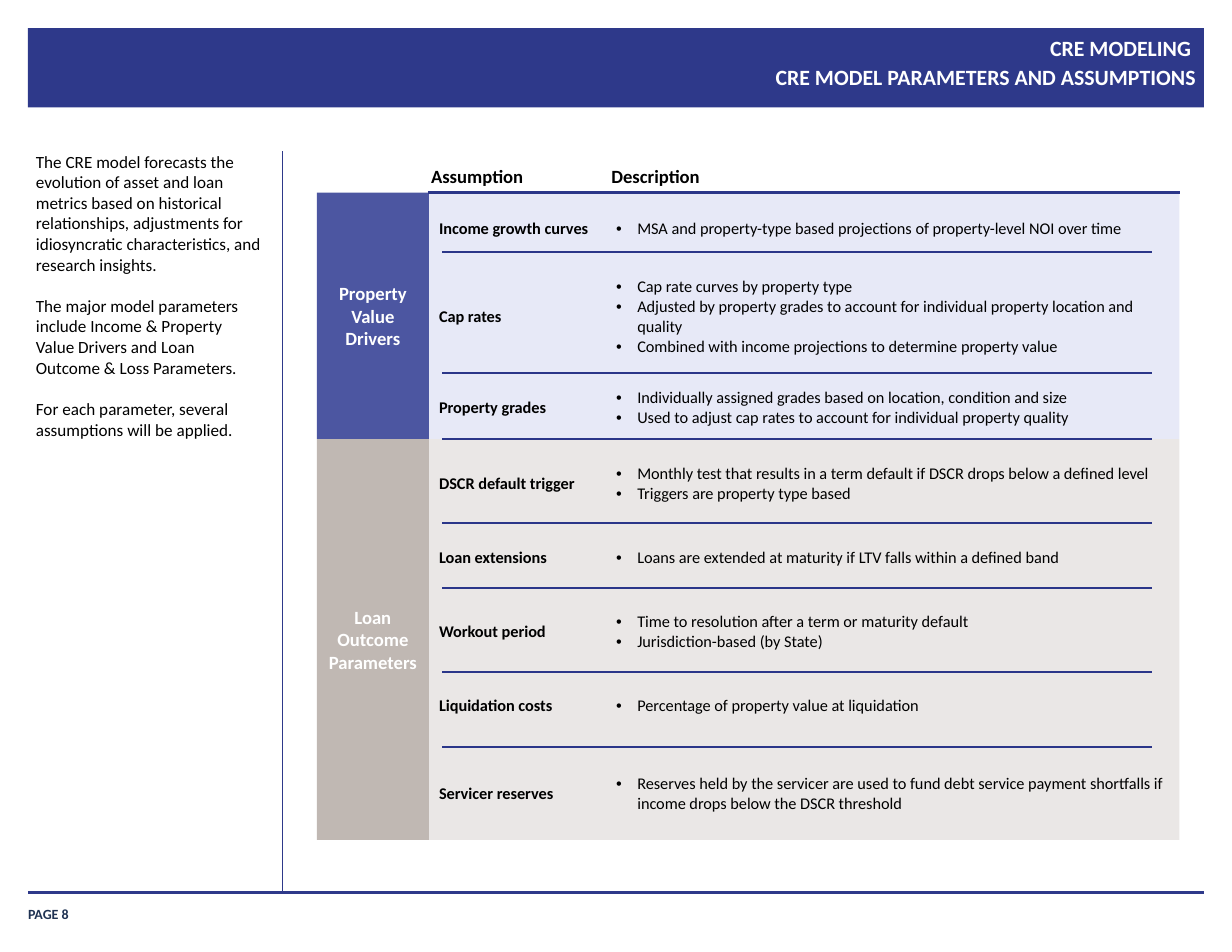
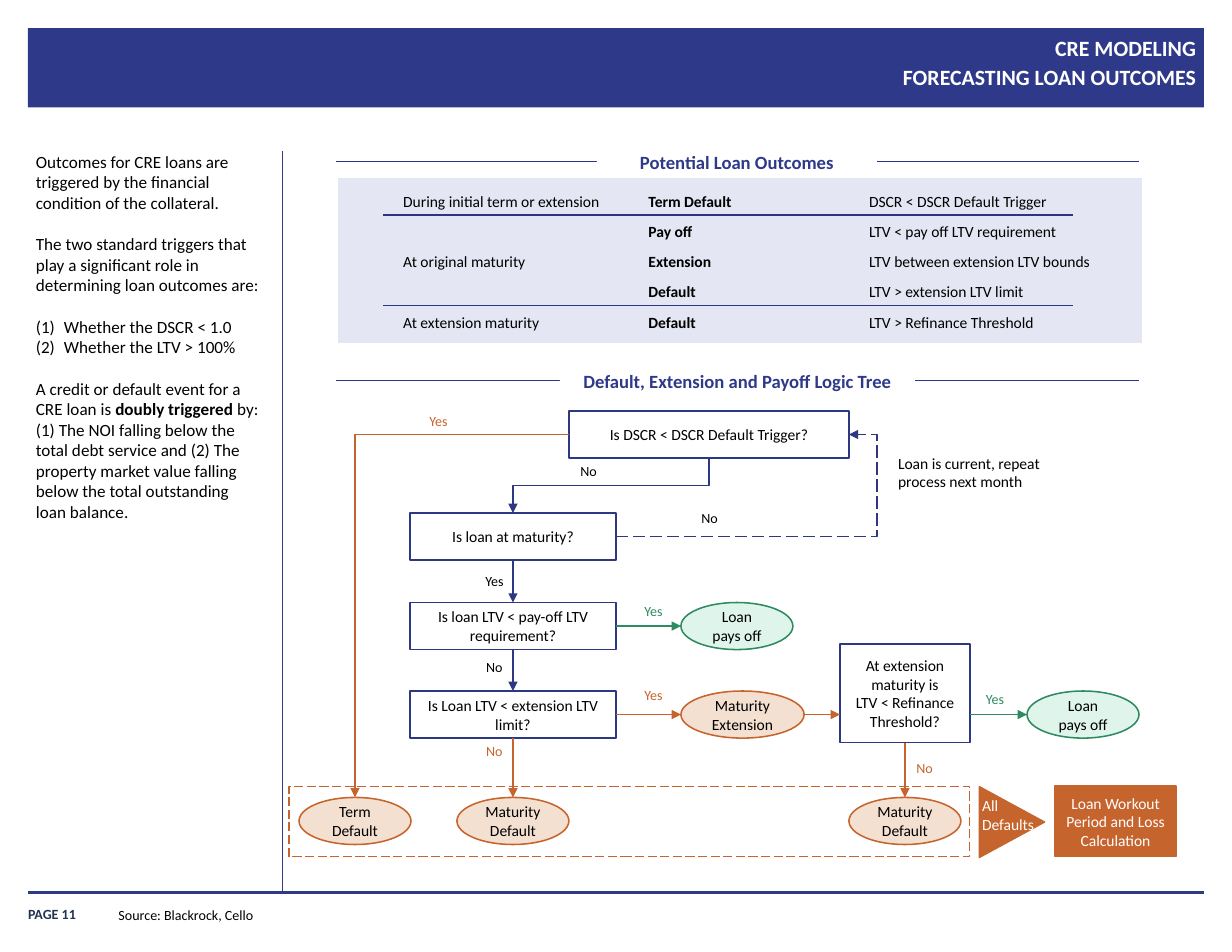
from dataclasses import dataclass

from lxml.etree import SubElement
from pptx import Presentation
from pptx.dml.color import RGBColor
from pptx.enum.dml import MSO_LINE
from pptx.enum.shapes import MSO_CONNECTOR, MSO_SHAPE
from pptx.enum.text import MSO_ANCHOR, PP_ALIGN
from pptx.oxml.ns import qn
from pptx.util import Inches, Pt


@dataclass(frozen=True)
class Theme:
    """Colours, font and type sizes shared by the slides."""
    font: str = "Calibri"
    band: str = "2E398A"
    rule: str = "2B3689"
    flow: str = "2E3781"
    drivers: str = "4C56A1"
    drivers_tint: str = "E7E9F7"
    loan: str = "C0B8B3"
    loan_tint: str = "EAE7E6"
    panel: str = "E5E6F3"
    green: str = "2E8A60"
    green_tint: str = "DFF5EB"
    orange: str = "C6642E"
    orange_tint: str = "F4E0D0"
    page: str = "203353"
    black: str = "000000"
    white: str = "FFFFFF"
    title_size: float = 14
    heading_size: float = 12
    body_size: float = 11
    table_size: float = 10.5
    flow_size: float = 10
    small_size: float = 9
    body_gap: float = 13.4


THEME = Theme()
NO_STYLE = "{2D5ABB26-0587-4C30-8999-92F81FD0307C}"


def write(frame, text, size=THEME.flow_size, color=THEME.black, bold=False, align=PP_ALIGN.LEFT,
          anchor=MSO_ANCHOR.TOP, inset=None, spacing=None, gap=0, bullets=False, numbered=()):
    """Fill a text frame, one paragraph a line, with ** around bold words."""
    frame.word_wrap = True
    frame.vertical_anchor = anchor
    if inset is not None:
        frame.margin_left = frame.margin_right = Inches(inset)
        frame.margin_top = frame.margin_bottom = Inches(inset)
    for index, line in enumerate(text.split("\n")):
        paragraph = frame.add_paragraph() if index else frame.paragraphs[0]
        if bullets or index in numbered:
            properties = paragraph._p.get_or_add_pPr()
            indent = Inches(0.19 if bullets else 0.25)
            properties.set("marL", str(indent))
            properties.set("indent", str(-indent))
            if bullets:
                SubElement(properties, qn("a:buFont"), typeface="Arial")
                SubElement(properties, qn("a:buChar"), char="•")
            else:
                SubElement(properties, qn("a:buAutoNum"), type="arabicParenBoth")
        paragraph.alignment = align
        if spacing:
            paragraph.line_spacing = spacing
        if gap and index and not (index in numbered and index - 1 in numbered):
            paragraph.space_before = Pt(gap)
        for part, words in enumerate(line.split("**")):
            run = paragraph.add_run()
            run.text = words
            run.font.name = THEME.font
            run.font.size = Pt(size)
            run.font.bold = bold or part % 2 == 1
            run.font.color.rgb = RGBColor.from_string(color)


class Deck:
    """Holds the presentation and draws on its current slide."""

    def __init__(self):
        self.presentation = Presentation()
        self.presentation.slide_width = Inches(11)
        self.presentation.slide_height = Inches(8.5)
        self.slide = None

    def page(self, number, title, commentary, numbered=()):
        """Start a slide with its band, title, side text and footer."""
        self.slide = self.presentation.slides.add_slide(self.presentation.slide_layouts[6])
        self.shape(0.25, 0.25, 10.5, 0.71, fill=THEME.band)
        self.text(0.25, 8.01, 0.91, 0.23, f"PAGE {number}", size=THEME.small_size,
                  color=THEME.page, bold=True, inset=0, anchor=MSO_ANCHOR.BOTTOM)
        self.line((0.25, 7.97), (10.75, 7.97), THEME.band, 2.25)
        self.line((2.52, 1.35), (2.52, 7.97), THEME.band, 0.5)
        self.text(3.17, 0.29, 7.51, 0.67, title, size=THEME.title_size, color=THEME.white,
                  bold=True, align=PP_ALIGN.RIGHT, inset=0, spacing=1.1)
        self.text(0.32, 1.35, 2.01, 5.63, commentary, size=THEME.body_size, inset=0,
                  gap=THEME.body_gap, numbered=numbered)

    def text(self, x, y, width, height, text, **style):
        """Add a text box."""
        box = self.slide.shapes.add_textbox(Inches(x), Inches(y), Inches(width), Inches(height))
        write(box.text_frame, text, **style)

    def shape(self, x, y, width, height, text=None, kind=MSO_SHAPE.RECTANGLE, fill=None,
              line=None, weight=1, dash=None, **style):
        """Add a preset shape with centred text."""
        shape = self.slide.shapes.add_shape(kind, Inches(x), Inches(y), Inches(width), Inches(height))
        shape.shadow.inherit = False
        if fill:
            shape.fill.solid()
            shape.fill.fore_color.rgb = RGBColor.from_string(fill)
        else:
            shape.fill.background()
        if line:
            shape.line.color.rgb = RGBColor.from_string(line)
            shape.line.width = Pt(weight)
            shape.line.dash_style = dash
        else:
            shape.line.fill.background()
        if text:
            write(shape.text_frame, text, align=PP_ALIGN.CENTER, anchor=MSO_ANCHOR.MIDDLE, **style)
        return shape

    def finish(self, connector, color, weight, dash=None, arrow=False):
        """Style a connector."""
        connector.line.color.rgb = RGBColor.from_string(color)
        connector.line.width = Pt(weight)
        if dash:
            connector.line.dash_style = dash
        properties = connector._element.spPr
        if arrow:
            SubElement(properties.find(qn("a:ln")), qn("a:tailEnd"), type="triangle")
        SubElement(properties, qn("a:effectLst"))

    def line(self, start, end, color=THEME.rule, weight=0.75):
        """Draw a plain line between two points."""
        points = [Inches(value) for value in (*start, *end)]
        self.finish(self.slide.shapes.add_connector(MSO_CONNECTOR.STRAIGHT, *points), color, weight)

    def arrow(self, start, end, color, bend=None, dash=None, adjust=None):
        """Draw an arrow whose ends are (shape, side) pairs or points."""
        kind = MSO_CONNECTOR.ELBOW if bend else MSO_CONNECTOR.STRAIGHT
        connector = self.slide.shapes.add_connector(kind, *self.point(start), *self.point(end))
        for (node, side), join in ((start, connector.begin_connect), (end, connector.end_connect)):
            if not isinstance(node, float) and (
                    side == 0 or node.auto_shape_type == MSO_SHAPE.RECTANGLE):
                join(node, side)
        geometry = connector._element.spPr.find(qn("a:prstGeom"))
        if bend == "corner":
            geometry.set("prst", "bentConnector2")
        if bend == "down":
            self.turn(connector)
        if adjust:
            guides = geometry.find(qn("a:avLst"))
            SubElement(guides, qn("a:gd"), name="adj1", fmla=f"val {adjust}")
        self.finish(connector, color, 1, dash, arrow=True)

    @staticmethod
    def turn(connector):
        """Make an elbow that runs down and left leave vertically."""
        width, height = connector.width, connector.height
        connector.left += (width - height) // 2
        connector.top += (height - width) // 2
        connector.width, connector.height = height, width
        frame = connector._element.spPr.find(qn("a:xfrm"))
        frame.attrib.pop("flipH", None)
        frame.set("rot", "5400000")

    @staticmethod
    def point(end):
        """Give the position of an arrow end."""
        node, side = end
        if isinstance(node, float):
            return Inches(node), Inches(side)
        across, down = ((1, 0), (0, 1), (1, 2), (2, 1))[side]
        return node.left + node.width * across // 2, node.top + node.height * down // 2

    def table(self, x, y, columns, heights, rows, style):
        """Add an unfilled table; style gives the format of a column."""
        frame = self.slide.shapes.add_table(len(rows), len(columns), Inches(x), Inches(y),
                                            Inches(sum(columns)), Inches(sum(heights)))
        table = frame.table
        table.first_row = table.horz_banding = False
        table._tbl.tblPr.find(qn("a:tableStyleId")).text = NO_STYLE
        for column, width in zip(table.columns, columns):
            column.width = Inches(width)
        for row, height, texts in zip(table.rows, heights, rows):
            row.height = Inches(height)
            for index, (cell, words) in enumerate(zip(row.cells, texts)):
                cell.fill.background()
                if words:
                    write(cell.text_frame, words, **style(index))
                    cell.vertical_anchor = style(index).get("anchor", MSO_ANCHOR.TOP)
        return table

    def section(self, x, y, width, heading):
        """Add a heading that interrupts a full-width rule."""
        self.line((3, y), (10.17, y))
        self.shape(x, y - 0.11, width, 0.21, heading, fill=THEME.white, size=THEME.heading_size,
                   color=THEME.band, bold=True, inset=0, spacing=1.1)


def parameters_slide(deck):
    """Build the table of model assumptions."""
    deck.page(8, "CRE MODELING \nCRE MODEL PARAMETERS AND ASSUMPTIONS",
              "The CRE model forecasts the evolution of asset and loan metrics based on historical "
              "relationships, adjustments for idiosyncratic characteristics, and research insights.\n"
              "The major model parameters include Income & Property Value Drivers and Loan Outcome "
              "& Loss Parameters.\n"
              "For each parameter, several assumptions will be applied.")
    groups = [("Property Value Drivers", 1.72, 2.2, THEME.drivers, THEME.drivers_tint),
              ("Loan Outcome Parameters", 3.92, 3.58, THEME.loan, THEME.loan_tint)]
    for name, top, height, color, tint in groups:
        deck.shape(3.82, top, 6.71, height, fill=tint)
        deck.shape(2.83, top, 1, height, name, fill=color, size=THEME.heading_size,
                   color=THEME.white, bold=True)
    assumptions = [
        ("Income growth curves", "MSA and property-type based projections of property-level NOI over time"),
        ("Cap rates", "Cap rate curves by property type\n"
         "Adjusted by property grades to account for individual property location and quality\n"
         "Combined with income projections to determine property value"),
        ("Property grades", "Individually assigned grades based on location, condition and size\n"
         "Used to adjust cap rates to account for individual property quality"),
        ("DSCR default trigger",
         "Monthly test that results in a term default if DSCR drops below a defined level\n"
         "Triggers are property type based"),
        ("Loan extensions", "Loans are extended at maturity if LTV falls within a defined band"),
        ("Workout period", "Time to resolution after a term or maturity default\n"
         "Jurisdiction-based (by State)"),
        ("Liquidation costs", "Percentage of property value at liquidation"),
        ("Servicer reserves", "Reserves held by the servicer are used to fund debt service payment "
         "shortfalls if income drops below the DSCR threshold"),
    ]
    deck.table(3.82, 1.72, (1.58, 5.17), (0.64, 0.94, 0.68, 0.68, 0.64, 0.68, 0.64, 0.94), assumptions,
               lambda column: dict(size=THEME.table_size, bold=column == 0, bullets=column == 1,
                                   anchor=MSO_ANCHOR.MIDDLE))
    for x, heading in ((3.75, "Assumption"), (5.36, "Description")):
        deck.text(x, 1.42, 2.29, 0.3, heading, size=THEME.heading_size, bold=True)
    deck.line((3.82, 1.72), (10.54, 1.72), weight=2.25)
    for y in (2.25, 3.33, 3.92, 4.67, 5.25, 6, 6.67):
        deck.line((3.95, y), (10.29, y))


def logic_tree(deck):
    """Draw the decision boxes, outcomes, arrows and answers."""
    def question(x, y, width, height, text):
        return deck.shape(x, y, width, height, text, line=THEME.flow)

    def outcome(x, y, text, color=THEME.orange, tint=THEME.orange_tint, width=1):
        return deck.shape(x, y, width, 0.42, text, kind=MSO_SHAPE.OVAL, fill=tint, line=color)

    deck.shape(2.58, 7.02, 6.08, 0.63, line=THEME.orange, weight=0.75, dash=MSO_LINE.LONG_DASH)
    trigger = question(5.08, 3.67, 2.5, 0.42, "Is DSCR < DSCR Default Trigger?")
    maturity, payoff, limit = [
        question(3.66, y, 1.84, 0.42, text) for y, text in (
            (4.58, "Is loan at maturity?"), (5.38, "Is loan LTV < pay-off LTV requirement?"),
            (6.17, "Is Loan LTV < extension LTV limit?"))]
    refinance = question(7.5, 5.75, 1.16, 0.88, "At extension maturity is\nLTV < Refinance Threshold?")
    paid, repaid = [outcome(x, y, "Loan pays off", THEME.green, THEME.green_tint)
                    for x, y in ((6.08, 5.38), (9.17, 6.17))]
    extension = outcome(6.08, 6.17, "Maturity\nExtension", width=1.1)
    term_default, first_default, second_default = [
        outcome(x, 7.12, f"{name} Default")
        for x, name in ((2.67, "Term"), (4.08, "Maturity"), (7.58, "Maturity"))]

    top, left, bottom, right = range(4)
    deck.arrow((trigger, bottom), (maturity, top), THEME.flow, bend="down")
    deck.arrow((maturity, right), (trigger, right), THEME.flow, bend="side",
               dash=MSO_LINE.LONG_DASH, adjust=112000)
    deck.arrow((trigger, left), (term_default, top), THEME.orange, bend="corner")
    for start, end, color in (
            ((maturity, bottom), (payoff, top), THEME.flow),
            ((payoff, bottom), (limit, top), THEME.flow),
            ((payoff, right), (paid, left), THEME.green),
            ((limit, right), (extension, left), THEME.orange),
            ((limit, bottom), (first_default, top), THEME.orange),
            ((refinance, bottom), (second_default, top), THEME.orange),
            ((extension, right), (7.5, 6.38), THEME.orange),
            ((8.66, 6.38), (repaid, left), THEME.green)):
        deck.arrow(start, end, color)
    for answer, x, y, color in (
            ("No", 4.92, 4.08, THEME.black), ("No", 6, 4.5, THEME.black),
            ("Yes", 4.08, 5.06, THEME.black), ("No", 4.08, 5.83, THEME.black),
            ("Yes", 5.5, 5.33, THEME.green), ("Yes", 5.5, 6.08, THEME.orange),
            ("Yes", 8.55, 6.12, THEME.green), ("No", 7.92, 6.73, THEME.orange),
            ("No", 4.08, 6.58, THEME.orange), ("Yes", 3.58, 3.63, THEME.orange)):
        deck.text(x, y, 0.67, 0.25, answer, size=THEME.small_size, color=color, align=PP_ALIGN.CENTER)
    deck.text(7.92, 4, 1.5, 0.44, "Loan is current, repeat process next month")
    funnel = deck.shape(8.72, 7.05, 0.63, 0.58, kind=MSO_SHAPE.ISOSCELES_TRIANGLE,
                        fill=THEME.orange, line=THEME.orange)
    funnel.rotation = 90
    deck.text(8.67, 7.06, 0.75, 0.44, "All\nDefaults", color=THEME.white)
    deck.shape(9.42, 7.02, 1.08, 0.63, "Loan Workout Period and Loss Calculation",
               fill=THEME.orange, line=THEME.orange, color=THEME.white)


def outcomes_slide(deck):
    """Build the outcome table and the logic tree."""
    deck.page(11, "CRE MODELING\nFORECASTING LOAN OUTCOMES",
              "Outcomes for CRE loans are triggered by the financial condition of the collateral.\n"
              "The two standard triggers that play a significant role in determining loan outcomes are:\n"
              "Whether the DSCR < 1.0\nWhether the LTV > 100%\n"
              "A credit or default event for a CRE loan is **doubly triggered **by: (1) The NOI falling "
              "below the total debt service and (2) The property market value falling below the total "
              "outstanding loan balance.", numbered=(2, 3))
    deck.shape(3, 1.58, 7.21, 1.5, fill=THEME.panel, line=THEME.white, weight=2)
    deck.section(5.33, 1.44, 2.5, "Potential Loan Outcomes")
    outcomes = [
        ("During initial term or extension", "Term Default", "DSCR < DSCR Default Trigger"),
        ("At original maturity", "Pay off", "LTV < pay off LTV requirement"),
        ("", "Extension", "LTV between extension LTV bounds"),
        ("", "Default", "LTV > extension LTV limit"),
        ("At extension maturity", "Default", "LTV > Refinance Threshold"),
    ]
    table = deck.table(3.5, 1.67, (2.19, 1.97, 2.42), [0.27] * len(outcomes), outcomes,
                       lambda column: dict(bold=column == 1))
    table.cell(1, 0).merge(table.cell(3, 0))
    table.cell(1, 0).vertical_anchor = MSO_ANCHOR.MIDDLE
    for y in (1.92, 2.73):
        deck.line((3.42, y), (9.58, y))
    deck.section(5, 3.4, 3.17, "Default, Extension and Payoff Logic Tree")
    logic_tree(deck)
    deck.text(0.96, 8.04, 1.6, 0.25, "Source: Blackrock, Cello", size=THEME.small_size)


def main():
    """Build and save the deck."""
    deck = Deck()
    parameters_slide(deck)
    outcomes_slide(deck)
    deck.presentation.save("out.pptx")


if __name__ == "__main__":
    main()
